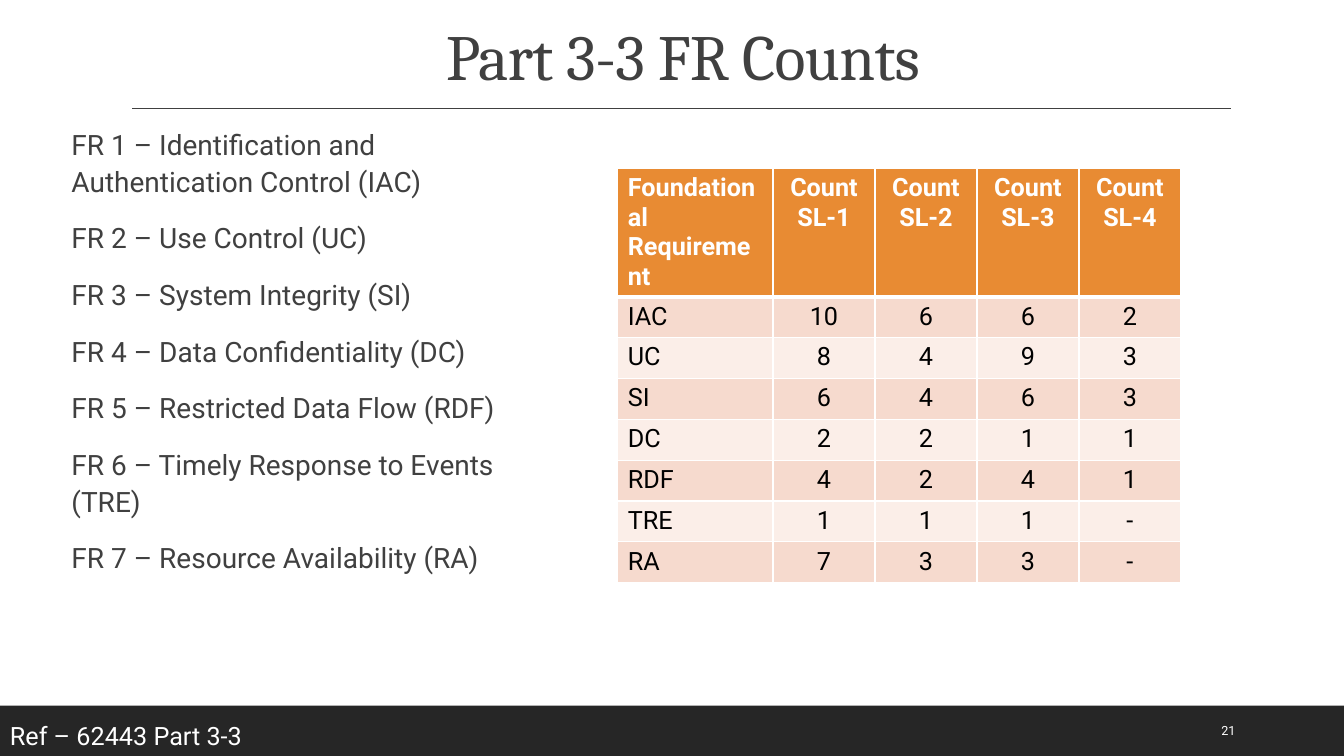
from lxml.etree import SubElement
from pptx import Presentation
from pptx.dml.color import RGBColor
from pptx.enum.shapes import MSO_CONNECTOR, MSO_SHAPE
from pptx.enum.text import MSO_ANCHOR, MSO_AUTO_SIZE, PP_ALIGN
from pptx.oxml import parse_xml
from pptx.oxml.ns import nsdecls, qn
from pptx.util import Cm, Pt

REQUIREMENTS = [
    "FR 1 – Identification and Authentication Control (IAC)",
    "FR 2 – Use Control (UC)",
    "FR 3 – System Integrity (SI)",
    "FR 4 – Data Confidentiality (DC)",
    "FR 5 – Restricted Data Flow (RDF)",
    "FR 6 – Timely Response to Events (TRE)",
    "FR 7 – Resource Availability (RA)",
]
COUNTS = [
    ["Foundational Requirement", "Count SL-1", "Count SL-2", "Count SL-3", "Count SL-4"],
    ["IAC", "10", "6", "6", "2"],
    ["UC", "8", "4", "9", "3"],
    ["SI", "6", "4", "6", "3"],
    ["DC", "2", "2", "1", "1"],
    ["RDF", "4", "2", "4", "1"],
    ["TRE", "1", "1", "1", "-"],
    ["RA", "7", "3", "3", "-"],
]


def color(hex_code):
    return RGBColor.from_string(hex_code)


class SlideBuilder:
    heading_font = "Cambria"
    body_font = "Roboto"
    ink = "404040"
    dark = "262626"
    accent = "E88B33"
    white = "FFFFFF"
    bands = ("F6DACE", "FBEEE8")

    def __init__(self, presentation):
        self.slide = presentation.slides.add_slide(presentation.slide_layouts[1])
        self.shapes = self.slide.shapes

    def add_text(self, paragraph, text, size, hex_code, font=None, bold=False):
        run = paragraph.add_run()
        run.text = text
        run.font.name = font or self.body_font
        run.font.size = Pt(size)
        run.font.bold = bold
        run.font.color.rgb = color(hex_code)
        return run

    def place(self, shape, left, top, width, height):
        shape.left, shape.top = Cm(left), Cm(top)
        shape.width, shape.height = Cm(width), Cm(height)

    def title(self, text, *box):
        heading = self.shapes.title
        self.place(heading, *box)
        frame = heading.text_frame
        frame.auto_size = MSO_AUTO_SIZE.NONE
        frame.vertical_anchor = MSO_ANCHOR.BOTTOM
        paragraph = frame.paragraphs[0]
        paragraph.alignment = PP_ALIGN.CENTER
        paragraph.line_spacing = 0.9
        run = self.add_text(paragraph, text, 46, self.ink, self.heading_font)
        run._r.get_or_add_rPr().set("spc", "-50")

    def body(self, items, *box):
        listing = self.slide.placeholders[1]
        self.place(listing, *box)
        frame = listing.text_frame
        frame.auto_size = MSO_AUTO_SIZE.NONE
        frame.margin_left = frame.margin_right = 0
        for index, item in enumerate(items):
            paragraph = frame.add_paragraph() if index else frame.paragraphs[0]
            paragraph.line_spacing = 1.1
            paragraph.space_before = Pt(12 if index else 0)
            paragraph.space_after = Pt(2)
            self.blank_bullet(paragraph)
            self.add_text(paragraph, item, 20, self.ink)

    def blank_bullet(self, paragraph):
        """Give the paragraph a small hanging indent with an invisible bullet."""
        properties = paragraph._p.get_or_add_pPr()
        hang = Cm(0.25)
        properties.set("marL", str(hang))
        properties.set("indent", str(-hang))
        bullet_color = SubElement(properties, qn("a:buClr"))
        SubElement(bullet_color, qn("a:srgbClr")).set("val", self.accent)
        SubElement(properties, qn("a:buChar")).set("char", " ")

    def bar(self, *box):
        band = self.shapes.add_shape(MSO_SHAPE.RECTANGLE, *map(Cm, box))
        band.shadow.inherit = False
        band.fill.solid()
        band.fill.fore_color.rgb = color(self.dark)
        band.line.fill.background()

    def rule(self, left, right, y):
        line = self.shapes.add_connector(
            MSO_CONNECTOR.STRAIGHT, Cm(left), Cm(y), Cm(right), Cm(y))
        line.line.color.rgb = color(self.ink)
        line.line.width = Pt(1)
        SubElement(line._element.spPr, qn("a:effectLst"))

    def label(self, text, size, anchor, *box):
        frame = self.shapes.add_textbox(*map(Cm, box)).text_frame
        frame.word_wrap = True
        frame.vertical_anchor = anchor
        self.add_text(frame.paragraphs[0], text, size, self.white)

    def table(self, rows, left, top, widths, heights):
        grid = self.shapes.add_table(
            len(rows), len(widths), Cm(left), Cm(top),
            Cm(sum(widths)), Cm(sum(heights))).table
        for column, width in zip(grid.columns, widths):
            column.width = Cm(width)
        for r, (row, height) in enumerate(zip(rows, heights)):
            grid.rows[r].height = Cm(height)
            for c, text in enumerate(row):
                self.cell(grid.cell(r, c), text, r, c)

    def cell(self, cell, text, row, column):
        header = row == 0
        cell.fill.solid()
        cell.fill.fore_color.rgb = color(
            self.accent if header else self.bands[(row - 1) % 2])
        self.borders(cell, top=3 if row == 1 else 1, bottom=3 if header else 1)
        paragraph = cell.text_frame.paragraphs[0]
        paragraph.alignment = PP_ALIGN.CENTER if column else PP_ALIGN.LEFT
        self.add_text(paragraph, text, 18, self.white if header else "000000", bold=header)

    def borders(self, cell, top, bottom):
        properties = cell._tc.get_or_add_tcPr()
        sides = {"lnL": 1, "lnR": 1, "lnT": top, "lnB": bottom}
        for index, (side, points) in enumerate(sides.items()):
            properties.insert(index, parse_xml(
                f'<a:{side} {nsdecls("a")} w="{Pt(points)}"><a:solidFill>'
                f'<a:srgbClr val="{self.white}"/></a:solidFill></a:{side}>'))


def main():
    presentation = Presentation()
    presentation.slide_width, presentation.slide_height = Cm(33.87), Cm(19.05)
    page = SlideBuilder(presentation)
    page.bar(0, 17.78, 33.87, 1.27)
    page.rule(3.33, 31.01, 2.74)
    page.title("Part 3-3 FR Counts", 1.55, 0.3, 31.32, 2.21)
    page.body(REQUIREMENTS, 1.55, 3, 12.22, 14.38)
    page.table(COUNTS, 15.57, 4.24, [3.91] + [2.57] * 4, [3.2] + [1.03] * 7)
    page.label("21", 9, MSO_ANCHOR.MIDDLE, 30.53, 17.91, 2.16, 1.02)
    page.label("Ref – 62443 Part 3-3", 18, MSO_ANCHOR.TOP, 0, 18.03, 16.84, 1.02)
    presentation.save("out.pptx")


if __name__ == "__main__":
    main()
